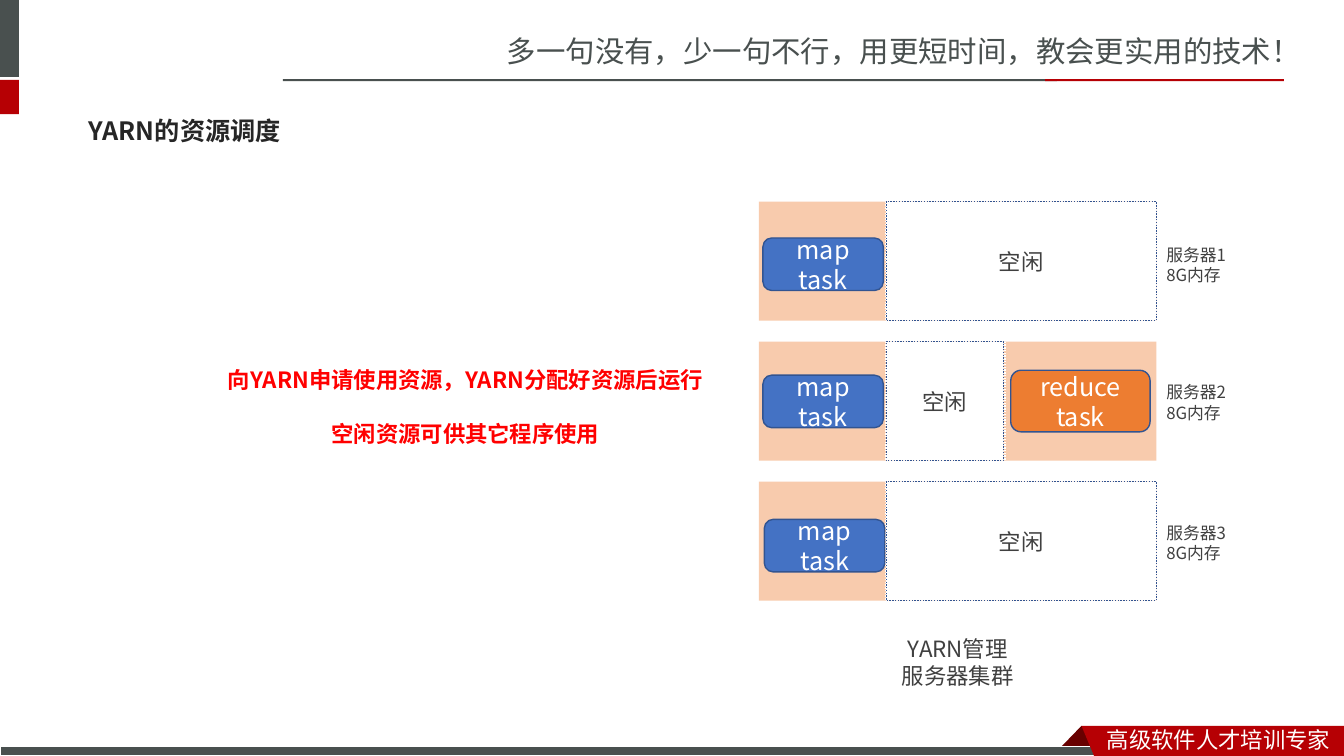
from pptx import Presentation
from pptx.dml.color import RGBColor
from pptx.enum.dml import MSO_LINE
from pptx.enum.shapes import MSO_CONNECTOR, MSO_SHAPE
from pptx.enum.text import MSO_ANCHOR, PP_ALIGN
from pptx.oxml.ns import qn
from pptx.util import Pt
from lxml import etree

RECT, ROUND = MSO_SHAPE.RECTANGLE, MSO_SHAPE.ROUNDED_RECTANGLE
LEFT, CENTER = PP_ALIGN.LEFT, PP_ALIGN.CENTER
TOP, MIDDLE = MSO_ANCHOR.TOP, MSO_ANCHOR.MIDDLE
STRAIGHT, DOTS = MSO_CONNECTOR.STRAIGHT, MSO_LINE.ROUND_DOT
SC, JP = "Noto Sans CJK SC", "Noto Sans CJK JP"
COLORS = {
    "grey": "49504F", "red": "B60004", "dark_red": "680000", "white": "FFFFFF",
    "title": "262626", "body": "404040", "alert": "FF0000", "used": "F8CBAD",
    "map": "4472C4", "reduce": "ED7D31", "edge": "325491",
}
ROW_TOP, ROW_PITCH, ROW_HEIGHT = 144, 100, 85
ROW_LEFT, ROW_WIDTH, IDLE_LEFT = 542, 284, 633


def rgb(name):
    """Return the named colour."""
    return RGBColor.from_string(COLORS[name])


def write(shape, lines, size, color, font=SC, bold=False, align=LEFT,
          anchor=TOP, gap=0):
    """Write one paragraph per line, with a gap between paragraphs."""
    tf = shape.text_frame
    tf.word_wrap = True
    tf.vertical_anchor = anchor
    for i, line in enumerate(lines):
        p = tf.add_paragraph() if i else tf.paragraphs[0]
        p.alignment = align
        p.space_before = Pt(gap if i else 0)
        r = p.add_run()
        r.text = line
        r.font.size = Pt(size)
        r.font.bold = bold
        r.font.color.rgb = rgb(color)
        r.font.name = font
        ea = etree.SubElement(r.font._element, qn("a:ea"))
        ea.set("typeface", font)


def add_text(s, box, lines, size, color, **style):
    """Add a text box."""
    write(s.shapes.add_textbox(*map(Pt, box)), lines, size, color, **style)


def paint(shape, fill, line=None, width=1, dash=None):
    """Set the fill and outline of a shape."""
    shape.shadow.inherit = False
    shape.fill.solid()
    shape.fill.fore_color.rgb = rgb(fill)
    if line:
        shape.line.color.rgb = rgb(line)
        shape.line.width = Pt(width)
        shape.line.dash_style = dash
    else:
        shape.line.fill.background()


def add_block(s, box, fill, kind=RECT, **outline):
    """Add a filled preset shape."""
    sp = s.shapes.add_shape(kind, *map(Pt, box))
    paint(sp, fill, **outline)
    return sp


def add_polygon(s, points, fill):
    """Add a closed filled outline."""
    points = [(Pt(x), Pt(y)) for x, y in points]
    fb = s.shapes.build_freeform(*points[0], scale=1.0)
    fb.add_line_segments(points[1:], close=True)
    paint(fb.convert_to_shape(), fill)


def add_divider(s, x, top):
    """Add a dotted white line across a server row."""
    line = s.shapes.add_connector(STRAIGHT, Pt(x), Pt(top), Pt(x), Pt(top + ROW_HEIGHT))
    line.line.color.rgb = rgb("white")
    line.line.width = Pt(1)
    line.line.dash_style = DOTS
    etree.SubElement(line._element.spPr, qn("a:effectLst"))


def add_task(s, box, name, fill):
    """Add a rounded task box."""
    sp = add_block(s, box, fill, ROUND, line="edge")
    write(sp, [name], 18, "white", align=CENTER, anchor=MIDDLE)


def add_server(s, number, idle_width, task_left, task_drop, label_drop):
    """Add one server row with its map task, idle memory and label."""
    top = ROW_TOP + (number - 1) * ROW_PITCH
    add_block(s, (ROW_LEFT, top, ROW_WIDTH, ROW_HEIGHT), "used")
    add_divider(s, IDLE_LEFT, top)
    add_task(s, (task_left, top + task_drop, 86, 37.5), "map task", "map")
    idle = add_block(s, (IDLE_LEFT, top, idle_width, ROW_HEIGHT), "white",
                     line="edge", dash=DOTS)
    write(idle, ["空闲"], 16, "body", align=CENTER, anchor=MIDDLE)
    add_text(s, (826, top + label_drop, 130, 36), [f"服务器{number}", "8G内存"],
             12, "body", font=JP)


def add_frame(s):
    """Add the header and footer bands with their slogans."""
    add_text(s, (355, 20, 605, 32.5), ["多一句没有，少一句不行，用更短时间，教会更实用的技术！"],
             21, "grey")
    add_block(s, (0, 0, 13.5, 55), "grey")
    add_block(s, (0, 57, 13.5, 24.5), "red")
    add_block(s, (202, 56.5, 553, 1.6), "grey")
    add_block(s, (746.5, 56.5, 170.5, 1.6), "red")
    add_polygon(s, [(772.5, 518.5), (788.5, 534.5), (757, 534.5)], "dark_red")
    add_block(s, (0, 533.5, 791, 6.5), "grey", line="white", width=0.75)
    add_polygon(s, [(772.5, 518.5), (960, 518.5), (960, 540), (781.5, 540)], "red")
    add_text(s, (783.5, 515, 176.5, 25), ["高级软件人才培训专家"], 16, "white")


def add_title(s, text):
    """Place and format the title placeholder."""
    title = s.shapes.title
    title.left, title.top, title.width, title.height = map(Pt, (56, 74, 842, 41))
    write(title, [text], 18, "title", font=JP, bold=True, anchor=MIDDLE)
    title.text_frame.paragraphs[0].line_spacing = 0.9


def main():
    """Build the slide and save it."""
    prs = Presentation()
    prs.slide_width, prs.slide_height = Pt(960), Pt(540)
    s = prs.slides.add_slide(prs.slide_layouts[5])
    add_frame(s)
    add_title(s, "YARN的资源调度")
    add_server(s, 1, 193, 545, 26, 27.5)
    add_server(s, 2, 84, 545, 24, 25.5)
    add_server(s, 3, 193, 546, 27, 26)
    add_divider(s, 718, ROW_TOP + ROW_PITCH)
    add_task(s, (722, 264.5, 99.5, 44), "reduce task", "reduce")
    add_text(s, (524, 450, 320, 46), ["YARN管理", "服务器集群"], 16, "body",
             font=JP, align=CENTER)
    add_text(s, (134, 252, 397, 77),
             ["向YARN申请使用资源，YARN分配好资源后运行", "空闲资源可供其它程序使用"],
             16, "alert", bold=True, align=CENTER, anchor=MIDDLE, gap=19)
    prs.save("out.pptx")


if __name__ == "__main__":
    main()
